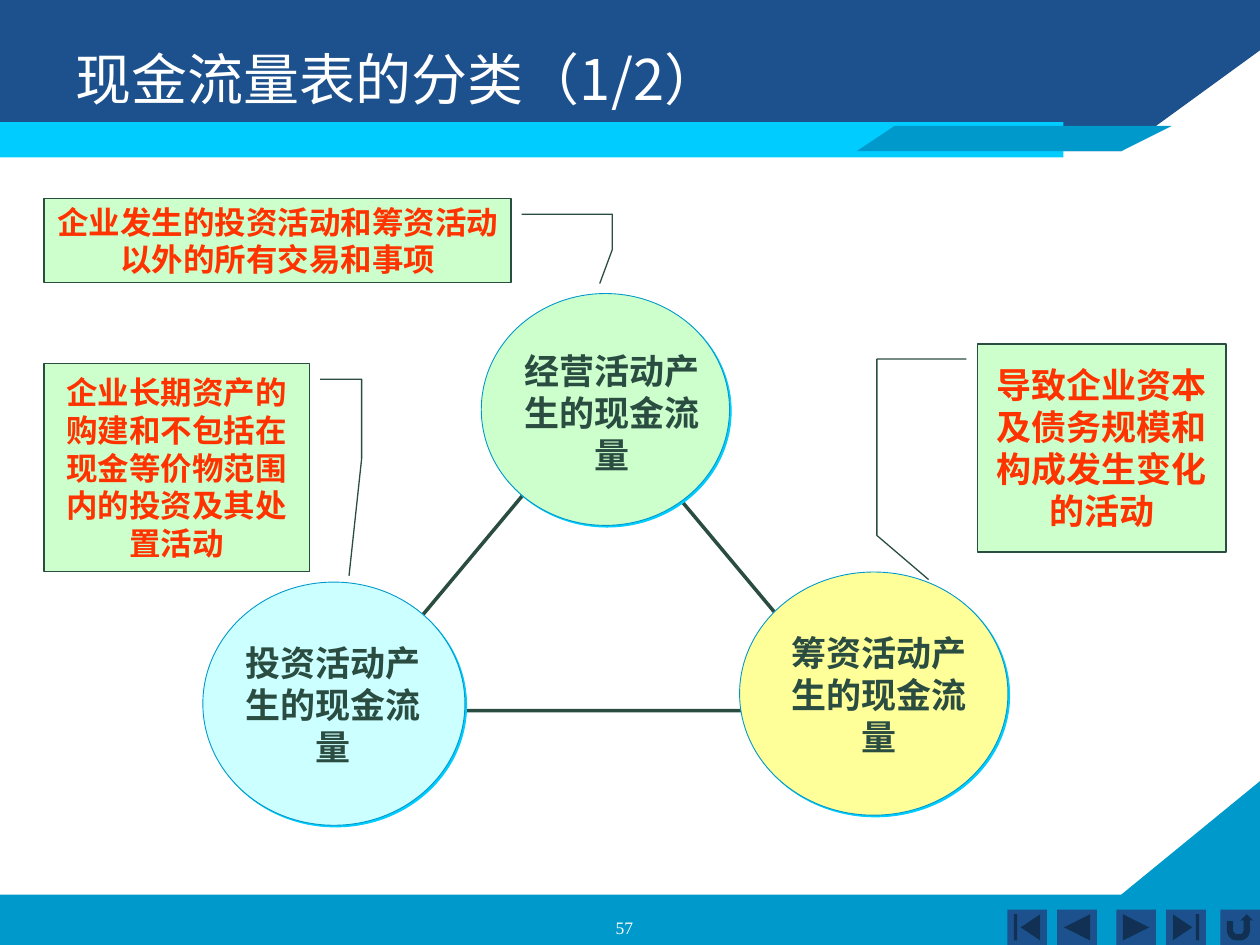
from dataclasses import dataclass
from typing import NamedTuple

from lxml import etree
from pptx import Presentation
from pptx import util as u
from pptx.dml.color import RGBColor
from pptx.enum import shapes, text
from pptx.oxml.ns import qn

# The slide is a grid of 100 columns by 75 rows; all lengths are in grid units.
COLUMNS, ROWS = 100, 75
CELL = u.Inches(0.1)
Point = tuple[float, float]
PRESET = shapes.MSO_SHAPE
CENTER, LEFT = text.PP_ALIGN.CENTER, text.PP_ALIGN.LEFT
TOP, MIDDLE = text.MSO_ANCHOR.TOP, text.MSO_ANCHOR.MIDDLE


@dataclass(frozen=True)
class Theme:
    navy: str = "1D518D"
    blue: str = "0099CB"
    cyan: str = "00CCFF"
    white: str = "FFFFFF"
    ink: str = "2A4C41"
    red: str = "FF3300"
    green: str = "CCFFCC"
    aqua: str = "CCFFFF"
    yellow: str = "FFFF99"
    body_font: str = "Arial"
    title_font: str = "Noto Sans CJK SC"
    number_font: str = "Times New Roman"
    title_size: int = 32
    large: int = 20
    medium: int = 18
    small: int = 10


THEME = Theme()


class Box(NamedTuple):
    left: float
    top: float
    width: float
    height: float

    def lengths(self) -> list[int]:
        return [round(value * CELL) for value in self]


class Style(NamedTuple):
    size: int
    color: str
    font: str = THEME.body_font
    bold: bool = True


class Activity(NamedTuple):
    label: str
    circle: Box
    label_corner: Point
    fill: str


class Callout(NamedTuple):
    words: str
    box: Box
    leader: list[Point]
    size: int


ACTIVITIES = [
    Activity("经营活动产生的现金流量", Box(38.2, 23.3, 19.7, 18.4), (40.6, 27.7), THEME.green),
    Activity("投资活动产生的现金流量", Box(16.1, 46.2, 20.8, 19.3), (18.5, 50.9), THEME.aqua),
    Activity("筹资活动产生的现金流量", Box(58.7, 45.4, 21.3, 19.3), (61.8, 50.1), THEME.yellow),
]
CALLOUTS = [
    Callout("企业发生的投资活动和筹资活动以外的所有交易和事项", Box(3.5, 15.75, 37.05, 6.65),
            [(41.4, 17), (48.6, 17), (48.6, 19.8), (47.6, 22.5)], THEME.medium),
    Callout("企业长期资产的购建和不包括在现金等价物范围内的投资及其处置活动",
            Box(3.5, 28.85, 21.05, 16.5),
            [(25.4, 30.1), (28.7, 30.1), (28.7, 36.4), (27.7, 45.7)], THEME.medium),
    Callout("导致企业资本及债务规模和构成发生变化的活动", Box(77.6, 27.3, 19.7, 16.5),
            [(76.7, 28.5), (69.6, 28.5), (69.6, 42.5), (73.7, 46)], THEME.large),
]
BUTTONS = [
    (PRESET.ACTION_BUTTON_BEGINNING, 79.95),
    (PRESET.ACTION_BUTTON_BACK_OR_PREVIOUS, 83.9),
    (PRESET.ACTION_BUTTON_FORWARD_OR_NEXT, 88.6),
    (PRESET.ACTION_BUTTON_END, 92.55),
    (PRESET.ACTION_BUTTON_RETURN, 96.85),
]


def paint(shape, fill: str | None, line: str | None = None, width: float = 0.75) -> None:
    if fill:
        shape.fill.solid()
        shape.fill.fore_color.rgb = RGBColor.from_string(fill)
    else:
        shape.fill.background()
    if line:
        shape.line.color.rgb = RGBColor.from_string(line)
        shape.line.width = u.Pt(width)
    else:
        shape.line.fill.background()
    shape.shadow.inherit = False


def add_preset(slide, preset, box: Box, fill: str | None, line: str | None = None,
               width: float = 0.75):
    shape = slide.shapes.add_shape(preset, *box.lengths())
    paint(shape, fill, line, width)
    return shape


def add_polygon(slide, points: list[Point], fill: str) -> None:
    builder = slide.shapes.build_freeform(*points[0], scale=CELL)
    builder.add_line_segments(points[1:], close=True)
    paint(builder.convert_to_shape(), fill)


def add_offset_shadow(shape, color: str) -> None:
    effects = shape._element.spPr.find(qn("a:effectLst"))
    shadow = etree.SubElement(effects, qn("a:outerShdw"), dist=str(u.Pt(1.4)),
                              dir="2700000", algn="ctr", rotWithShape="0")
    etree.SubElement(shadow, qn("a:srgbClr"), val=color)


def write(shape, words: str, style: Style, align=CENTER, anchor=MIDDLE,
          inset: Point = (1, 0.5)) -> None:
    frame = shape.text_frame
    frame.text = words
    frame.word_wrap = True
    frame.vertical_anchor = anchor
    frame.margin_left = frame.margin_right = round(inset[0] * CELL)
    frame.margin_top = frame.margin_bottom = round(inset[1] * CELL)
    paragraph = frame.paragraphs[0]
    paragraph.alignment = align
    font = paragraph.runs[0].font
    font.size, font.name, font.bold = u.Pt(style.size), style.font, style.bold
    font.color.rgb = RGBColor.from_string(style.color)


def add_text(slide, box: Box, words: str, style: Style, **layout) -> None:
    write(slide.shapes.add_textbox(*box.lengths()), words, style, **layout)


def add_callout(slide, callout: Callout) -> None:
    box = callout.box
    shape = add_preset(slide, PRESET.LINE_CALLOUT_3, box, THEME.green, THEME.ink)
    # The leader's points are shares of the box, each given as y, then x.
    shares = [share for x, y in callout.leader
              for share in ((y - box.top) / box.height, (x - box.left) / box.width)]
    for index, share in enumerate(shares):
        shape.adjustments[index] = share
    write(shape, callout.words, Style(callout.size, THEME.red))


def add_background(slide) -> None:
    add_polygon(slide, [(0, 70.6), (88.9, 70.6), (COLUMNS, 61.7), (COLUMNS, ROWS), (0, ROWS)],
                THEME.blue)
    add_polygon(slide, [(0, 0), (COLUMNS, 0), (COLUMNS, 4), (89.2, 12.3), (0, 12.4)], THEME.navy)
    add_preset(slide, PRESET.RECTANGLE, Box(0, 9.7, 84.4, 2.8), THEME.cyan)
    add_polygon(slide, [(68, 12.5), (89.2, 12.5), (92.7, 9.65), (71.3, 9.65)], THEME.blue)
    for preset, left in BUTTONS:
        add_preset(slide, preset, Box(left, 72.2, 3.15, 2.8), THEME.navy)


def main() -> None:
    presentation = Presentation()
    presentation.slide_width, presentation.slide_height = COLUMNS * CELL, ROWS * CELL
    slide = presentation.slides.add_slide(presentation.slide_layouts[6])
    add_background(slide)

    # Triangle of activities
    add_preset(slide, PRESET.ISOSCELES_TRIANGLE, Box(27.2, 32, 40.8, 24.4), None, THEME.ink, 2)
    for activity in ACTIVITIES:
        circle = add_preset(slide, PRESET.OVAL, activity.circle, activity.fill, THEME.blue, 0.5)
        add_offset_shadow(circle, THEME.cyan)
    for activity in ACTIVITIES:
        add_text(slide, Box(*activity.label_corner, 15.9, 10), activity.label,
                 Style(THEME.large, THEME.ink), inset=(0, 0))

    # Title, explanations and page number
    add_text(slide, Box(5, 3, 90, 12.5), "现金流量表的分类（1/2）",
             Style(THEME.title_size, THEME.white, THEME.title_font, False), align=LEFT, anchor=TOP)
    for callout in CALLOUTS:
        add_callout(slide, callout)
    add_text(slide, Box(37.9, 72.3, 23.3, 1.8), "57",
             Style(THEME.small, THEME.white, THEME.number_font, False), anchor=TOP)
    presentation.save("out.pptx")


if __name__ == "__main__":
    main()
